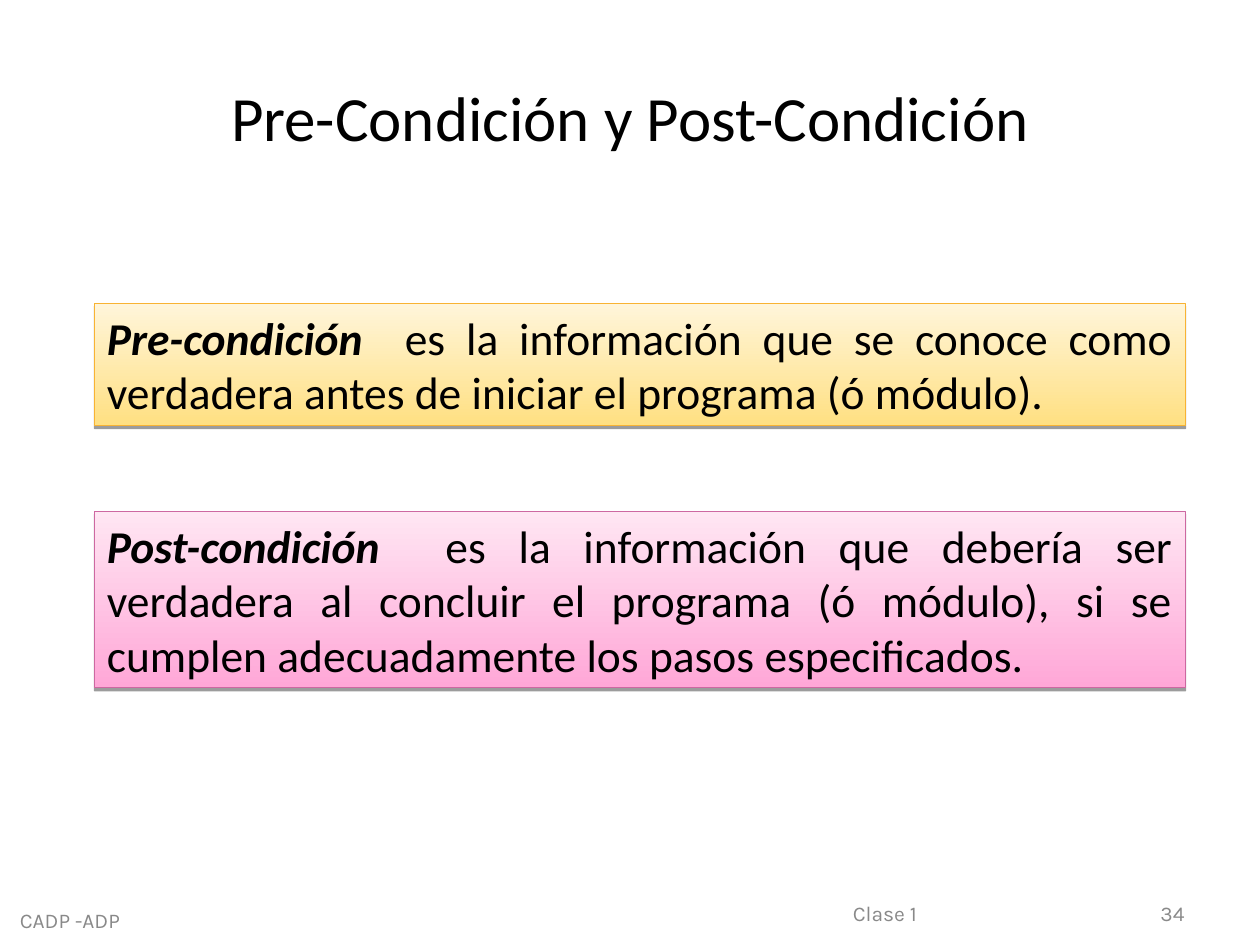
import pptx
import pptx.util
from lxml import etree
from pptx.dml.color import RGBColor
from pptx.enum.shapes import MSO_SHAPE
from pptx.enum.text import MSO_ANCHOR, PP_ALIGN
from pptx.oxml.ns import qn
from pptx.util import Inches

BLACK = RGBColor(0x00, 0x00, 0x00)
GREY = RGBColor(0x89, 0x89, 0x89)
AMBER = RGBColor(0xFF, 0xE0, 0x82)
CREAM = RGBColor(0xFF, 0xF5, 0xDA)
ORANGE = RGBColor(0xF8, 0xB3, 0x33)
PINK = RGBColor(0xFF, 0xA7, 0xD7)
PALE_PINK = RGBColor(0xFF, 0xE6, 0xF3)
MAGENTA = RGBColor(0xCD, 0x68, 0xA1)

TITLE = "Pre-Condición y Post-Condición"

# term, definition, top, height, bottom colour, top colour, line colour
DEFINITIONS = [
    ("Pre-condición",
     "  es la información que se conoce como verdadera antes de iniciar "
     "el programa (ó módulo).",
     2.41, 0.97, AMBER, CREAM, ORANGE),
    ("Post-condición",
     "  es la información que debería ser verdadera al concluir el programa "
     "(ó módulo), si se cumplen adecuadamente los pasos especificados.",
     4.06, 1.4, PINK, PALE_PINK, MAGENTA),
]
DEFINITION_LEFT, DEFINITION_WIDTH = 0.75, 8.66

# text, left, top, width, alignment
FOOTERS = [
    ("34", 7.17, 7.05, 2.33, PP_ALIGN.RIGHT),
    ("Clase 1", 6.67, 7.05, 2.92, PP_ALIGN.LEFT),
    ("CADP -ADP", 0, 7.1, 1.11, PP_ALIGN.CENTER),
]
FOOTER_HEIGHT = 0.4


def format_paragraph(para, font_name, size, color, alignment):
    para.alignment = alignment
    para.font.name = font_name
    para.font.size = pptx.util.Pt(size)
    para.font.color.rgb = color


def add_drop_shadow(shape):
    """Give the shape a hard shadow just below it."""
    shape.shadow.inherit = False
    effects = shape._element.spPr.find(qn("a:effectLst"))
    shadow = etree.SubElement(
        effects, qn("a:outerShdw"), blurRad="0",
        dist=str(pptx.util.Pt(1.6)), dir="5400000", rotWithShape="0")
    color = etree.SubElement(shadow, qn("a:srgbClr"), val="000000")
    etree.SubElement(color, qn("a:alpha"), val="38000")


def add_definition(page, term, definition, top, height, low, high, outline):
    box = page.shapes.add_shape(
        MSO_SHAPE.RECTANGLE, Inches(DEFINITION_LEFT), Inches(top),
        Inches(DEFINITION_WIDTH), Inches(height))
    box.fill.gradient()
    box.fill.gradient_angle = 90
    for stop, color in zip(box.fill.gradient_stops, (low, high)):
        stop.color.rgb = color
    box.line.color.rgb = outline
    box.line.width = pptx.util.Pt(0.75)
    add_drop_shadow(box)

    frame = box.text_frame
    frame.word_wrap = True
    frame.vertical_anchor = MSO_ANCHOR.TOP
    para = frame.paragraphs[0]
    format_paragraph(para, "Calibri", 26, BLACK, PP_ALIGN.JUSTIFY)
    span = para.add_run()
    span.text = term
    span.font.bold = span.font.italic = True
    para.add_run().text = definition


def add_footer(page, text, left, top, width, alignment):
    box = page.shapes.add_textbox(
        Inches(left), Inches(top), Inches(width), Inches(FOOTER_HEIGHT))
    frame = box.text_frame
    frame.word_wrap = True
    frame.vertical_anchor = MSO_ANCHOR.MIDDLE
    frame.text = text
    format_paragraph(frame.paragraphs[0], "Karla", 12, GREY, alignment)


def main():
    deck = pptx.Presentation()
    deck.slide_width, deck.slide_height = Inches(10), Inches(7.5)
    page = deck.slides.add_slide(deck.slide_layouts[5])

    title = page.shapes.title
    title.left, title.top = Inches(0.5), Inches(0.3)
    title.width, title.height = Inches(9), Inches(1.25)
    title.text_frame.text = TITLE
    title.text_frame.vertical_anchor = MSO_ANCHOR.MIDDLE
    format_paragraph(title.text_frame.paragraphs[0],
                     "Calibri", 36, BLACK, PP_ALIGN.CENTER)

    for definition in DEFINITIONS:
        add_definition(page, *definition)
    for footer in FOOTERS:
        add_footer(page, *footer)

    deck.save("out.pptx")


if __name__ == "__main__":
    main()
